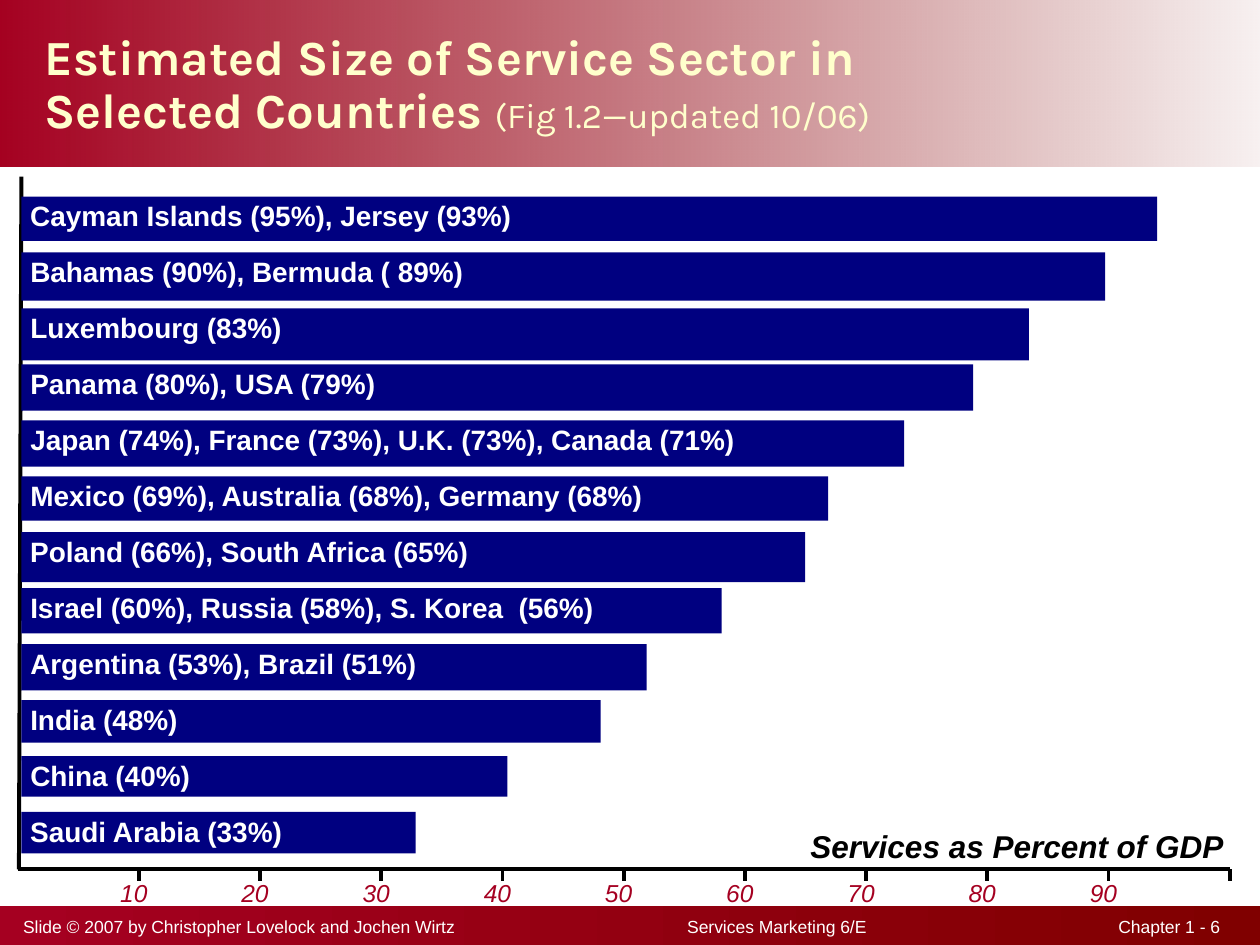
from lxml.etree import SubElement
from pptx import Presentation
from pptx.dml.color import RGBColor
from pptx.enum.shapes import MSO_CONNECTOR, MSO_SHAPE
from pptx.enum.text import MSO_ANCHOR, PP_ALIGN
from pptx.oxml.ns import qn
from pptx.util import Inches, Pt

WIDTH, HEIGHT = Inches(10), Inches(7.5)
COLUMNS, ROWS = 100, 100
COLORS = {
    "crimson": "A50021",
    "maroon": "800000",
    "cream": "FFFFCC",
    "navy": "000080",
    "white": "FFFFFF",
    "black": "000000",
}
AXIS_LEFT, AXIS_ROW, PERCENT_WIDTH = 1.4, 92, 0.96
BAR_LEFT, BAR_TOP, LABEL_LEFT, LABEL_TOP, BAR_STEP = 1.7, 20.8, 2.4, 21.3, 5.92
BARS = [
    ("Cayman Islands (95%), Jersey (93%)", 94.2, 4.7),
    ("Bahamas (90%), Bermuda ( 89%)", 89.9, 5.1),
    ("Luxembourg (83%)", 83.6, 5.5),
    ("Panama (80%), USA (79%)", 79, 4.9),
    ("Japan (74%), France (73%), U.K. (73%), Canada (71%)", 73.3, 4.9),
    ("Mexico (69%), Australia (68%), Germany (68%)", 67, 4.7),
    ("Poland (66%), South Africa (65%)", 65.1, 5.3),
    ("Israel (60%), Russia (58%), S. Korea  (56%)", 58.2, 4.8),
    ("Argentina (53%), Brazil (51%)", 52, 4.9),
    ("India (48%)", 48.2, 4.5),
    ("China (40%)", 40.5, 4.3),
    ("Saudi Arabia (33%)", 32.9, 4.4),
]


def across(columns):
    """Turn grid columns into a horizontal length."""
    return round(WIDTH * columns / COLUMNS)


def down(rows):
    """Turn grid rows into a vertical length."""
    return round(HEIGHT * rows / ROWS)


def place(left, top, width, height):
    """Turn a grid box into slide lengths."""
    return across(left), down(top), across(width), down(height)


def color(name):
    """Look up a named colour."""
    return RGBColor.from_string(COLORS[name])


def axis_column(percent):
    """Find the column of a percentage on the axis."""
    return AXIS_LEFT + PERCENT_WIDTH * percent


def add_rectangle(slide, box, fill=None):
    """Add a rectangle without outline, filled if a colour is named."""
    shape = slide.shapes.add_shape(MSO_SHAPE.RECTANGLE, *place(*box))
    shape.shadow.inherit = False
    shape.line.fill.background()
    if fill:
        shape.fill.solid()
        shape.fill.fore_color.rgb = color(fill)
    return shape


def add_band(slide, box, end_opacity=100):
    """Add a crimson to maroon band that may fade out to the right."""
    shape = add_rectangle(slide, box)
    shape.fill.gradient()
    shape.fill.gradient_angle = 0
    for stop, name in zip(shape.fill.gradient_stops, ("crimson", "maroon")):
        stop.color.rgb = color(name)
    if end_opacity < 100:
        end = shape._element.xpath(".//a:gs/a:srgbClr")[-1]
        SubElement(end, qn("a:alpha"), val=str(end_opacity * 1000))


def add_line(slide, start, end):
    """Add a black axis line between two grid points."""
    line = slide.shapes.add_connector(
        MSO_CONNECTOR.STRAIGHT, across(start[0]), down(start[1]), across(end[0]), down(end[1]))
    line.line.color.rgb = color("black")
    line.line.width = Pt(2.25)
    SubElement(line._element.spPr, qn("a:effectLst"))


def write_run(paragraph, text, size=16, fill="white", font="Arial", bold=False, italic=False):
    """Append formatted text to a paragraph."""
    run = paragraph.add_run()
    run.text = text
    run.font.size, run.font.name = Pt(size), font
    run.font.bold, run.font.italic = bold, italic
    run.font.color.rgb = color(fill)


def add_text(slide, text, box, align=PP_ALIGN.LEFT, anchor=MSO_ANCHOR.TOP, inset=True,
             spacing=0.95, tabs=(), **run_format):
    """Add a text box with one paragraph and return the paragraph."""
    frame = slide.shapes.add_textbox(*place(*box)).text_frame
    frame.word_wrap = True
    frame.vertical_anchor = anchor
    if not inset:
        frame.margin_left = frame.margin_right = frame.margin_top = frame.margin_bottom = 0
    paragraph = frame.paragraphs[0]
    paragraph.alignment, paragraph.line_spacing = align, spacing
    if tabs:
        tab_list = SubElement(paragraph._p.get_or_add_pPr(), qn("a:tabLst"))
        for column, kind in tabs:
            SubElement(tab_list, qn("a:tab"), pos=str(across(column)), algn=kind)
    write_run(paragraph, text, **run_format)
    return paragraph


def add_title(slide):
    """Add the header band and the two-line title."""
    add_band(slide, (0, 0, 100, 17.6), end_opacity=6)
    heading = {"size": 28, "fill": "cream", "font": "Karla", "bold": True}
    paragraph = add_text(slide, "Estimated Size of Service Sector in ", (2.55, 0.3, 82.5, 17.6),
                         anchor=MSO_ANCHOR.MIDDLE, spacing=0.9, **heading)
    paragraph.add_line_break()
    write_run(paragraph, "Selected Countries ", **heading)
    write_run(paragraph, "(Fig 1.2—updated 10/06)", size=20, fill="cream", font="Karla")


def add_footer(slide):
    """Add the footer band and its three tabbed parts."""
    add_band(slide, (0, 95.9, 100, 4.1))
    parts = ("Slide © 2007 by Christopher Lovelock and Jochen Wirtz",
             "Services Marketing 6/E", "Chapter 1 - 6")
    add_text(slide, "\t".join(parts), (0.85, 96.3, 97.5, 3.6), spacing=1,
             tabs=((52.7, "l"), (95, "r")), size=10)


def add_axes(slide):
    """Add both axes, the ticks with their numbers and the axis title."""
    add_line(slide, (1.7, 18.7), (1.5, AXIS_ROW))
    add_line(slide, (AXIS_LEFT, AXIS_ROW), (axis_column(100) + 0.2, AXIS_ROW))
    for percent in range(10, 101, 10):
        column = axis_column(percent) + percent / 500
        add_line(slide, (column, AXIS_ROW), (column, AXIS_ROW + 1.2))
        if percent < 100:
            add_text(slide, str(percent), (column - 2.45, 93.1, 4.1, 2.8), inset=False,
                     align=PP_ALIGN.CENTER, size=14, fill="crimson", italic=True)
    add_text(slide, "Services as Percent of GDP", (55, 87.1, 43.1, 5.2),
             align=PP_ALIGN.RIGHT, size=18, fill="black", bold=True, italic=True)


def add_bars(slide):
    """Add one bar with its label for each group of countries."""
    for index, (label, percent, height) in enumerate(BARS):
        offset = index * BAR_STEP
        width = axis_column(percent) - BAR_LEFT
        add_rectangle(slide, (BAR_LEFT, BAR_TOP + offset, width, height), fill="navy")
        add_text(slide, label, (LABEL_LEFT, LABEL_TOP + offset, width - 1, 3.3),
                 inset=False, bold=True)


def main():
    """Build and save the slide."""
    presentation = Presentation()
    presentation.slide_width, presentation.slide_height = WIDTH, HEIGHT
    slide = presentation.slides.add_slide(presentation.slide_layouts[6])
    add_title(slide)
    add_footer(slide)
    add_axes(slide)
    add_bars(slide)
    presentation.save("out.pptx")


if __name__ == "__main__":
    main()
